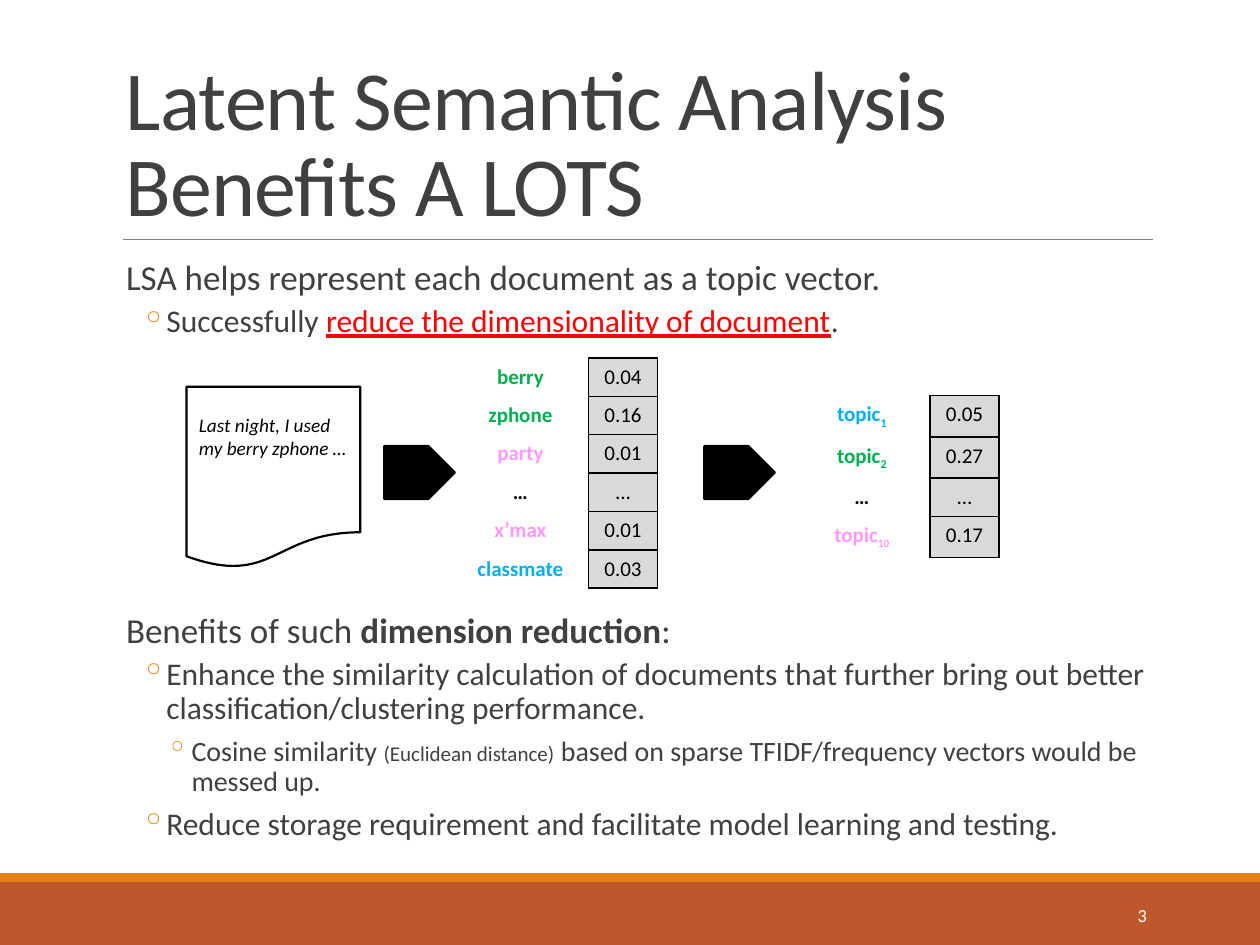
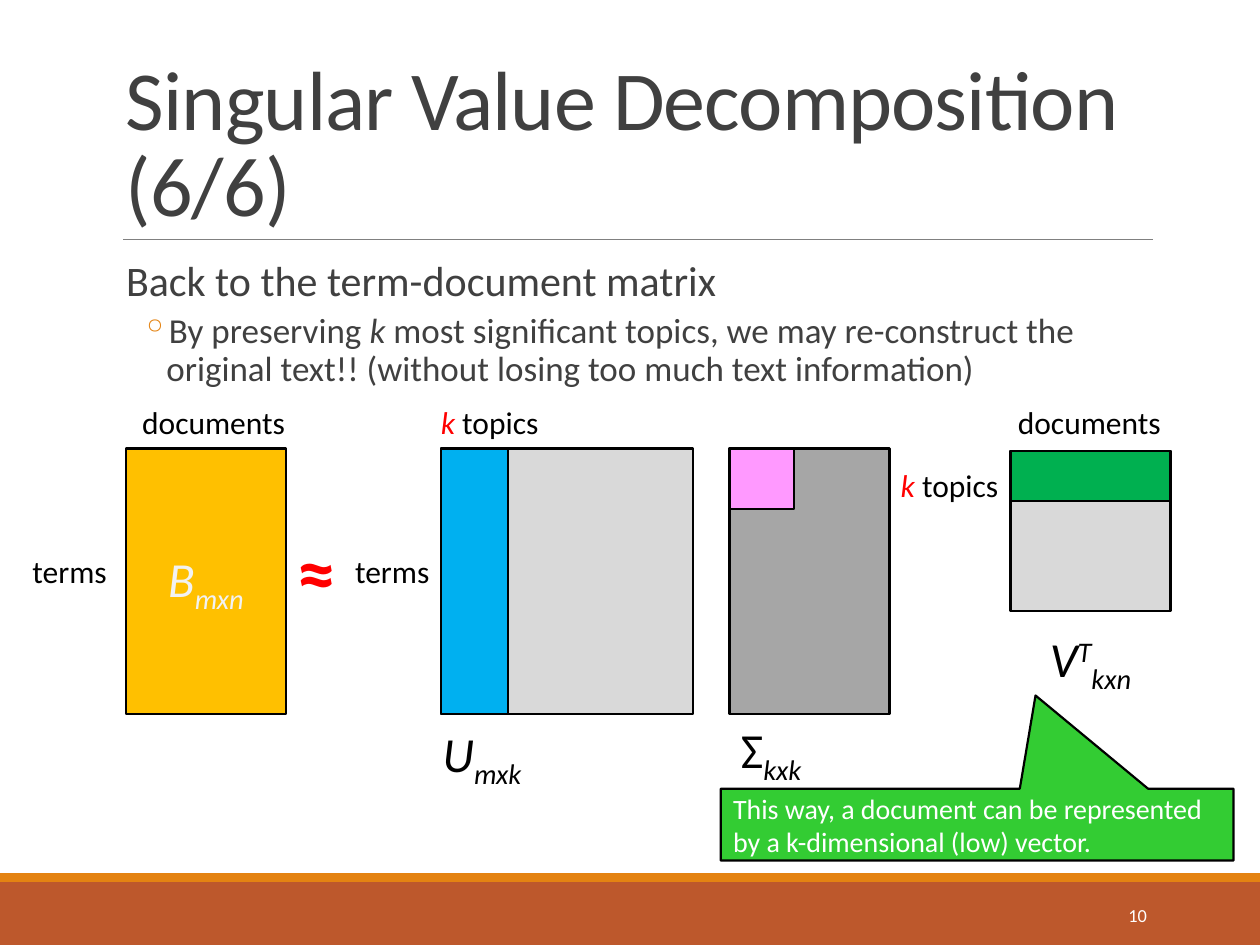
from dataclasses import dataclass
from typing import NamedTuple

from lxml import etree
from pptx import Presentation
from pptx import util as u
from pptx.dml import color
from pptx.enum import shapes, text
from pptx.oxml import ns

FORM = shapes.MSO_SHAPE
LEFT, MID, RIGHT = text.PP_ALIGN.LEFT, text.PP_ALIGN.CENTER, text.PP_ALIGN.RIGHT
TOP, CENTRE, BASE = (text.MSO_ANCHOR.TOP, text.MSO_ANCHOR.MIDDLE,
                     text.MSO_ANCHOR.BOTTOM)


@dataclass(frozen=True)
class Theme:
    font: str = "Calibri"
    ink: str = "404040"
    black: str = "000000"
    white: str = "FFFFFF"
    rust: str = "BD582C"
    orange: str = "E48312"
    rule: str = "808080"
    red: str = "FF0000"
    green: str = "00B050"
    blue: str = "00B0F0"
    pink: str = "FF99FF"
    gold: str = "FFC000"
    pale: str = "D9D9D9"
    grey: str = "A6A6A6"
    frost: str = "F2F2F2"
    lime: str = "33CC33"
    title: float = 48
    sign: float = 44
    symbol: float = 28
    lead: float = 24
    body: float = 20
    label: float = 18
    point: float = 16
    cell: float = 12
    note: float = 11
    page: float = 10.5
    edge: float = 1.25


T = Theme()


class Run(NamedTuple):
    words: str
    size: float | None = None
    hue: str | None = None
    bold: bool = False
    slant: bool = False
    under: bool = False
    shift: int = 0


class Para(NamedTuple):
    runs: list[Run]
    level: int = 0
    size: float = T.body


class Box(NamedTuple):
    x: float
    y: float
    w: float
    h: float
    fill: str
    form: int = FORM.RECTANGLE
    line: str | None = T.black
    adjust: tuple[float, ...] = ()


class Label(NamedTuple):
    x: float
    y: float
    w: float
    h: float
    runs: list[Run]
    size: float = T.label
    align: int = LEFT


class Entry(NamedTuple):
    name: str
    hue: str
    value: str
    sub: str = ""
    small: float = T.cell


def rgb(hue: str) -> color.RGBColor:
    return color.RGBColor.from_string(hue)


def node(root, tag: str, **attrs: str):
    item = etree.SubElement(root, ns.qn(tag))
    for key, val in attrs.items():
        item.set(key, val)
    return item


def bullet(para, level: int) -> None:
    props = para._p.get_or_add_pPr()
    margin, hang = ((0.1, 0), (0.42, -0.2), (0.62, -0.2))[level]
    props.set("marL", str(u.Inches(margin)))
    props.set("indent", str(u.Inches(hang)))
    if level:
        node(node(props, "a:buClr"), "a:srgbClr", val=T.orange)
        node(props, "a:buChar", char="◦")


def write(frame, runs: list[Run], *, size: float, hue: str = T.black,
          align: int = LEFT, first: bool = True, track: int = 0):
    para = frame.paragraphs[0] if first else frame.add_paragraph()
    para.alignment = align
    for part in runs:
        run = para.add_run()
        run.text = part.words
        font = run.font
        font.name, font.size = T.font, u.Pt(part.size or size)
        font.bold, font.italic, font.underline = part.bold, part.slant, part.under
        font.color.rgb = rgb(part.hue or hue)
        props = run._r.get_or_add_rPr()
        if part.shift:
            props.set("baseline", str(part.shift * 1000))
        if track:
            props.set("spc", str(track))
    return para


def setup(frame, *, wrap: bool = True, anchor: int = TOP,
          side: float = 0.1, top: float = 0.05) -> None:
    frame.word_wrap, frame.vertical_anchor = wrap, anchor
    frame.margin_left = frame.margin_right = u.Inches(side)
    frame.margin_top, frame.margin_bottom = u.Inches(top), u.Inches(0.05)


def panel(slide, x: float, y: float, w: float, h: float, **form):
    frame = slide.shapes.add_textbox(*map(u.Inches, (x, y, w, h))).text_frame
    setup(frame, **form)
    return frame


def draw(slide, box: Box):
    shape = slide.shapes.add_shape(box.form, *map(u.Inches, box[:4]))
    shape.shadow.inherit = False
    shape.fill.solid()
    shape.fill.fore_color.rgb = rgb(box.fill)
    if box.line:
        shape.line.color.rgb, shape.line.width = rgb(box.line), u.Pt(T.edge)
    else:
        shape.line.fill.background()
    for index, value in enumerate(box.adjust):
        shape.adjustments[index] = value
    return shape


def outline(slide, y: float, h: float, paras: list[Para]) -> None:
    frame = panel(slide, 0.9, y, 8.25, h, side=0)
    for index, item in enumerate(paras):
        para = write(frame, item.runs, size=item.size, hue=T.ink, first=not index)
        para.line_spacing = 0.9
        para.space_before = u.Pt(2 if item.level else 12)
        para.space_after = u.Pt(4 if item.level else 2)
        bullet(para, item.level)


def start(deck, title: str, page: int):
    slide = deck.slides.add_slide(deck.slide_layouts[6])
    draw(slide, Box(0, 7, 10, 0.5, T.rust, line=None))
    draw(slide, Box(0, 6.93, 10, 0.07, T.orange, line=None))
    rule = slide.shapes.add_connector(shapes.MSO_CONNECTOR.STRAIGHT,
                                      *map(u.Inches, (0.98, 1.9, 9.15, 1.9)))
    rule.line.color.rgb, rule.line.width = rgb(T.rule), u.Pt(0.5)
    node(rule._element.spPr, "a:effectLst")
    head = panel(slide, 0.9, 0.31, 8.25, 1.59, anchor=BASE)
    write(head, [Run(title)], size=T.title, hue=T.ink, track=-50).line_spacing = 0.85
    foot = panel(slide, 8.12, 7.06, 1.08, 0.4, anchor=CENTRE)
    write(foot, [Run(str(page))], size=T.page, hue=T.white, align=RIGHT)
    return slide


def border(cell) -> None:
    props = cell._tc.get_or_add_tcPr()
    for side in ("L", "R", "T", "B"):
        line = node(props, f"a:ln{side}", w=str(u.Pt(1)))
        node(node(line, "a:solidFill"), "a:srgbClr", val=T.black)


def vector(slide, x: float, y: float, rows: list[Entry]) -> None:
    wide = (1.08, 0.55)
    high = u.Inches(1.83) // 6
    grid = slide.shapes.add_table(len(rows), 2, u.Inches(x), u.Inches(y),
                                  u.Inches(sum(wide)), high * len(rows)).table
    grid.first_row = grid.horz_banding = False
    for col, width in zip(grid.columns, wide):
        col.width = u.Inches(width)
    for index, row in enumerate(rows):
        name, value = grid.cell(index, 0), grid.cell(index, 1)
        runs = [Run(row.name, bold=True)]
        if row.sub:
            runs.append(Run(row.sub, row.small, bold=True, shift=-25))
        write(name.text_frame, runs, size=T.cell, hue=row.hue, align=MID)
        write(value.text_frame, [Run(row.value)], size=T.cell, align=MID)
        name.fill.background()
        border(value)
        value.fill.solid()
        value.fill.fore_color.rgb = rgb(T.pale)


def topics(deck) -> None:
    slide = start(deck, "Latent Semantic Analysis Benefits A LOTS", 3)
    outline(slide, 2.02, 0.8, [
        Para([Run("LSA helps represent each document as a topic vector.")]),
        Para([Run("Successfully "),
              Run("reduce the dimensionality of document", hue=T.red, under=True),
              Run(".")], 1, T.label),
    ])
    outline(slide, 4.82, 2.05, [
        Para([Run("Benefits of such "), Run("dimension reduction", bold=True),
              Run(":")]),
        Para([Run("Enhance the similarity calculation of documents that further "
                  "bring out better classification/clustering performance.")],
             1, T.label),
        Para([Run("Cosine similarity "), Run("(Euclidean distance)", T.cell),
              Run(" based on sparse TFIDF/frequency vectors would be messed up.")],
             2, T.point),
        Para([Run("Reduce storage requirement and facilitate model learning "
                  "and testing.")], 1, T.label),
    ])
    vector(slide, 3.59, 2.84, [
        Entry("berry", T.green, "0.04"), Entry("zphone", T.green, "0.16"),
        Entry("party", T.pink, "0.01"), Entry("…", T.black, "…"),
        Entry("x’max", T.pink, "0.01"), Entry("classmate", T.blue, "0.03"),
    ])
    vector(slide, 6.3, 3.14, [
        Entry("topic", T.blue, "0.05", "1"), Entry("topic", T.green, "0.27", "2"),
        Entry("…", T.black, "…"), Entry("topic", T.pink, "0.17", "10", T.note),
    ])
    for x in (3.05, 5.59):
        draw(slide, Box(x, 3.54, 0.56, 0.42, T.black, FORM.RIGHT_ARROW,
                        adjust=(1, 0.5)))
    page = draw(slide, Box(1.48, 3.07, 1.38, 1.44, T.white,
                           FORM.FLOWCHART_DOCUMENT)).text_frame
    setup(page, top=0.21)
    write(page, [Run("Last night, I used my berry zphone …", slant=True)],
          size=T.note)


def factors(deck) -> None:
    slide = start(deck, "Singular Value Decomposition (6/6)", 10)
    outline(slide, 2.02, 1.2, [
        Para([Run("Back to the term-document matrix")], 0, T.lead),
        Para([Run("By preserving "), Run("k", slant=True),
              Run(" most significant topics, we may re-construct the original "
                  "text!! (without losing too much text information)")], 1),
    ])
    top, tall, wide = 3.56, 2.11, 1.27
    whole = draw(slide, Box(1, top, wide, tall, T.gold)).text_frame
    setup(whole, anchor=CENTRE)
    write(whole, [Run("B", slant=True), Run("mxn", slant=True, shift=-25)],
          size=T.symbol, hue=T.frost, align=MID)
    for box in (
        Box(3.5, top, 2, tall, T.pale),
        Box(5.79, top, wide, tall, T.grey),
        Box(8.02, 3.58, wide, wide, T.pale),
        Box(3.5, top, 0.53, tall, T.blue),
        Box(5.79, top, 0.51, 0.48, T.pink),
        Box(8.02, 3.58, wide, 0.4, T.green),
    ):
        draw(slide, box)
    terms, docs = [Run("terms")], [Run("documents")]
    kept = [Run("k", hue=T.red, slant=True), Run(" topics")]
    for item in (
        Label(2.26, 4.11, 0.51, 0.84, [Run("≈", hue=T.red, bold=True)], T.sign),
        Label(3.37, 5.69, 0.91, 0.57,
              [Run("U", slant=True), Run("mxk", slant=True, shift=-25)],
              T.symbol, MID),
        Label(5.74, 5.66, 0.76, 0.57,
              [Run("Σ"), Run("kxk", slant=True, shift=-25)], T.symbol, MID),
        Label(8.18, 4.94, 0.95, 0.57,
              [Run("V", slant=True), Run("T", slant=True, shift=30),
               Run("kxn", slant=True, shift=-25)], T.symbol, MID),
        Label(0.16, 4.33, 0.8, 0.4, terms),
        Label(2.72, 4.33, 0.8, 0.4, terms),
        Label(1.03, 3.15, 1.35, 0.4, docs),
        Label(7.98, 3.15, 1.35, 0.4, docs),
        Label(3.4, 3.15, 1, 0.4, kept),
        Label(7.05, 3.65, 1, 0.4, kept),
    ):
        write(panel(slide, *item[:4], wrap=False), item.runs, size=item.size,
              align=item.align)
    call = draw(slide, Box(5.72, 6.26, 4.07, 0.57, T.lime,
                           FORM.RECTANGULAR_CALLOUT,
                           adjust=(0.114, -1.798))).text_frame
    setup(call, anchor=CENTRE)
    write(call, [Run("This way, a document can be represented by a "
                     "k-dimensional (low) vector.")], size=T.point, hue=T.white)


def main() -> None:
    deck = Presentation()
    deck.slide_width, deck.slide_height = u.Inches(10), u.Inches(7.5)
    topics(deck)
    factors(deck)
    deck.save("out.pptx")


if __name__ == "__main__":
    main()
